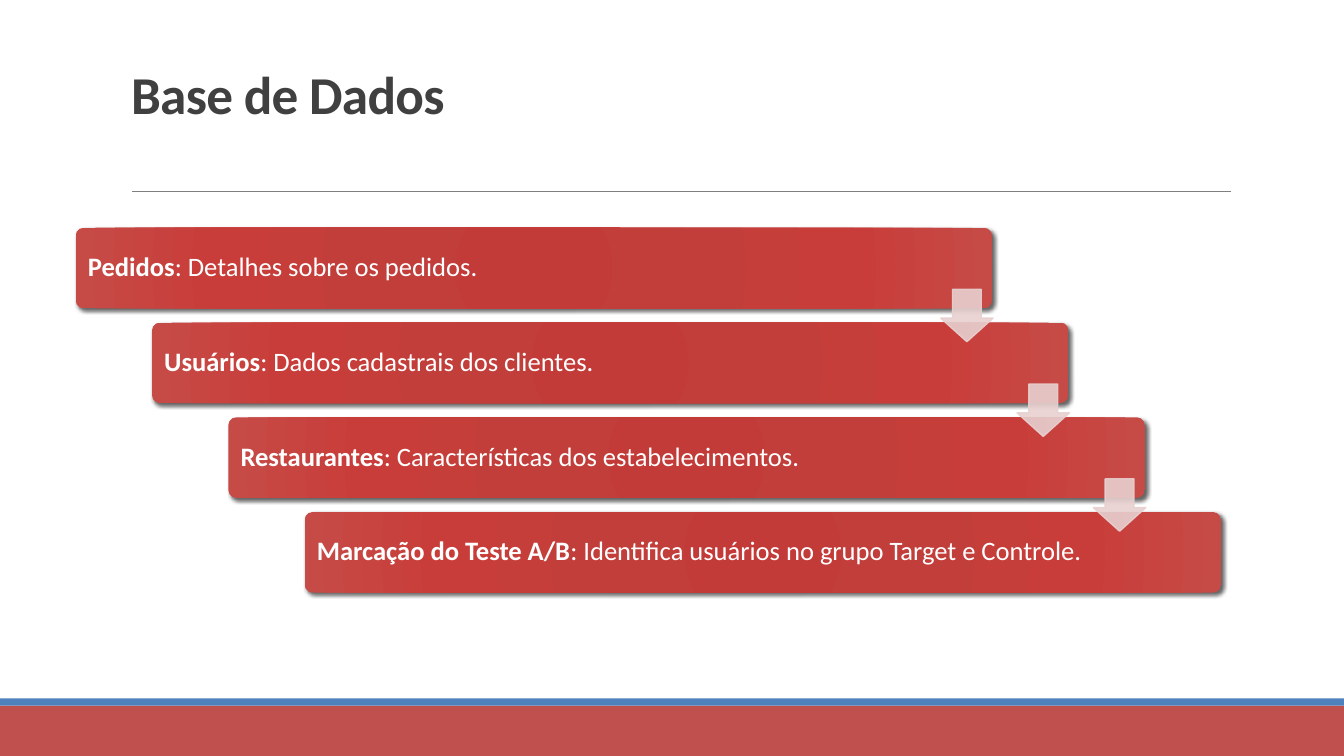
from lxml import etree
from pptx import Presentation
from pptx import util as u
from pptx.dml.color import RGBColor
from pptx.enum import shapes, text
from pptx.oxml import parse_xml
from pptx.oxml import ns

COLORS = {
    "red": "C0504D", "blue": "4F81BD", "rule": "808080", "title": "404040",
    "white": "FFFFFF", "arrow": "E8D0D0", "shadow": "000000",
}
GRADIENT = [(0, "C33B38"), (34, "C23E3B"), (70, "C83D39"), (100, "C64B47")]
TABLES = [
    ("Pedidos", ": Detalhes sobre os pedidos."),
    ("Usuários", ": Dados cadastrais dos clientes."),
    ("Restaurantes", ": Características dos estabelecimentos."),
    ("Marcação do Teste A/B", ": Identifica usuários no grupo Target e Controle."),
]
STEP_X, STEP_Y = 0.757, 0.94


class Deck:
    font = "Calibri"

    def __init__(self):
        self.prs = Presentation()
        self.prs.slide_width = u.Inches(13.33)
        self.prs.slide_height = u.Inches(7.5)
        self.slide = self.prs.slides.add_slide(self.prs.slide_layouts[5])

    def color(self, name):
        return RGBColor.from_string(COLORS[name])

    def style_run(self, r, size, color, bold):
        r.font.name = self.font
        r.font.size = u.Pt(size)
        r.font.bold = bold
        r.font.color.rgb = self.color(color)

    def title(self, words, left, top, width, height):
        sp = self.slide.shapes.title
        sp.left, sp.top = u.Inches(left), u.Inches(top)
        sp.width, sp.height = u.Inches(width), u.Inches(height)
        tf = sp.text_frame
        tf.text = words
        tf.auto_size = text.MSO_AUTO_SIZE.NONE
        tf.vertical_anchor = text.MSO_ANCHOR.BOTTOM
        tf.margin_bottom = u.Inches(0.66)
        p = tf.paragraphs[0]
        p.alignment = text.PP_ALIGN.LEFT
        p.line_spacing = 0.85
        r = p.runs[0]
        self.style_run(r, 38, "title", True)
        r.font._element.set("spc", "-50")

    def shape(self, kind, left, top, width, height, fill):
        sp = self.slide.shapes.add_shape(
            kind, u.Inches(left), u.Inches(top), u.Inches(width), u.Inches(height))
        sp.shadow.inherit = False
        sp.fill.solid()
        sp.fill.fore_color.rgb = self.color(fill)
        sp.line.fill.background()
        return sp

    def rule(self, x1, x2, y):
        line = self.slide.shapes.add_connector(
            shapes.MSO_CONNECTOR.STRAIGHT,
            u.Inches(x1), u.Inches(y), u.Inches(x2), u.Inches(y))
        line.line.color.rgb = self.color("rule")
        line.line.width = u.Pt(0.5)
        etree.SubElement(line._element.spPr, ns.qn("a:effectLst"))

    def bar(self, name, detail, left, top):
        sp = self.shape(shapes.MSO_SHAPE.ROUNDED_RECTANGLE, left, top, 9.09, 0.8, "red")
        sp.adjustments[0] = 0.1
        self.gradient(sp)
        self.drop_shadow(sp)
        tf = sp.text_frame
        tf.word_wrap = True
        tf.vertical_anchor = text.MSO_ANCHOR.MIDDLE
        tf.margin_left = tf.margin_right = u.Inches(0.1)
        p = tf.paragraphs[0]
        p.alignment = text.PP_ALIGN.LEFT
        p.line_spacing = 0.9
        for words, bold in ((name, True), (detail, False)):
            r = p.add_run()
            r.text = words
            self.style_run(r, 19, "white", bold)

    def gradient(self, sp):
        stops = "".join(
            f'<a:gs pos="{pos * 1000}"><a:srgbClr val="{color}"/></a:gs>'
            for pos, color in GRADIENT)
        spPr = sp._element.spPr
        solid = spPr.find(ns.qn("a:solidFill"))
        spPr.replace(solid, parse_xml(
            f'<a:gradFill {ns.nsdecls("a")} rotWithShape="1"><a:gsLst>{stops}</a:gsLst>'
            '<a:path path="circle"><a:fillToRect l="100000" t="100000" '
            'r="100000" b="100000"/></a:path></a:gradFill>'))

    def drop_shadow(self, sp):
        effects = sp._element.spPr.find(ns.qn("a:effectLst"))
        effects.append(parse_xml(
            f'<a:outerShdw {ns.nsdecls("a")} blurRad="{u.Pt(3)}" dist="{u.Pt(2)}" '
            f'dir="2700000" rotWithShape="0"><a:srgbClr val="{COLORS["shadow"]}">'
            '<a:alpha val="60000"/></a:srgbClr></a:outerShdw>'))

    def arrow(self, left, top):
        sp = self.shape(shapes.MSO_SHAPE.DOWN_ARROW, left, top, 0.52, 0.52, "arrow")
        sp.adjustments[0] = 0.55
        sp.adjustments[1] = 0.45
        sp.line.color.rgb = self.color("arrow")
        sp.line.width = u.Pt(1)
        for color in sp._element.spPr.iter(ns.qn("a:srgbClr")):
            etree.SubElement(color, ns.qn("a:alpha"), val="90000")


def main():
    deck = Deck()
    deck.shape(shapes.MSO_SHAPE.RECTANGLE, 0, 7, 13.33, 0.5, "red")
    deck.shape(shapes.MSO_SHAPE.RECTANGLE, 0, 6.93, 13.33, 0.07, "blue")
    deck.rule(1.31, 12.21, 1.9)
    deck.title("Base de Dados", 1.2, 0.31, 11, 1.59)
    for i, (name, detail) in enumerate(TABLES):
        deck.bar(name, detail, 0.75 + i * STEP_X, 2.26 + i * STEP_Y)
    for i in range(len(TABLES) - 1):
        deck.arrow(9.33 + i * STEP_X, 2.87 + i * STEP_Y)
    deck.prs.save("out.pptx")


if __name__ == "__main__":
    main()
